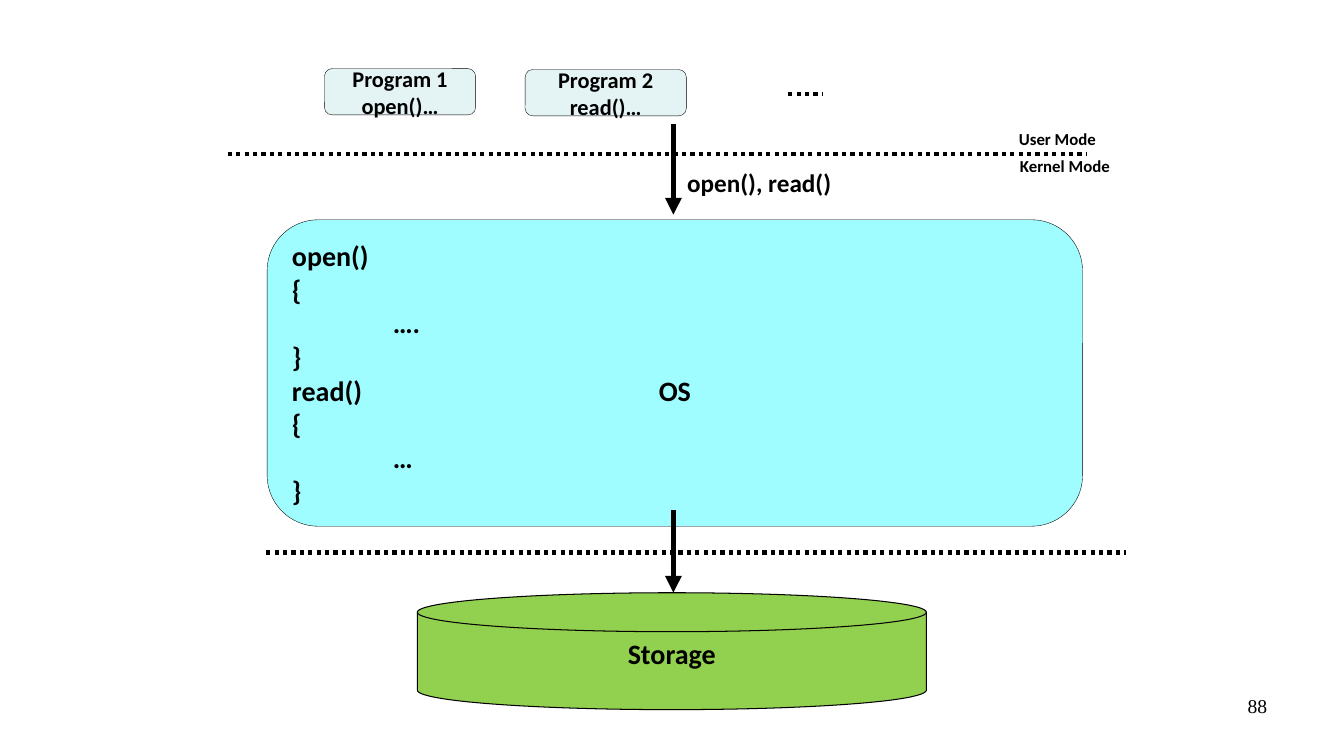
from lxml import etree
from pptx import Presentation
from pptx.dml.color import RGBColor
from pptx.enum.dml import MSO_LINE
from pptx.enum.shapes import MSO_CONNECTOR, MSO_SHAPE
from pptx.enum.text import MSO_ANCHOR, MSO_AUTO_SIZE, PP_ALIGN
from pptx.oxml.ns import qn
from pptx.util import Pt

ROUNDED = MSO_SHAPE.ROUNDED_RECTANGLE
DISK = MSO_SHAPE.FLOWCHART_MAGNETIC_DISK
STRAIGHT = MSO_CONNECTOR.STRAIGHT
DOTTED = MSO_LINE.ROUND_DOT
LEFT, CENTER, RIGHT = PP_ALIGN.LEFT, PP_ALIGN.CENTER, PP_ALIGN.RIGHT
TOP, MIDDLE = MSO_ANCHOR.TOP, MSO_ANCHOR.MIDDLE
FIT_SHAPE = MSO_AUTO_SIZE.SHAPE_TO_FIT_TEXT

BLACK = RGBColor(0x00, 0x00, 0x00)
PALE_BLUE = RGBColor(0xE4, 0xF3, 0xF4)
CYAN = RGBColor(0x9F, 0xFD, 0xFF)
GREEN = RGBColor(0x92, 0xD0, 0x50)

PROGRAMS = [
    (["Program 1", "open()…"], (231.8, 49, 108, 33.1)),
    (["Program 2", "read()…"], (375.1, 49.7, 115.2, 33.1)),
]
KERNEL_CODE = ["open()", "{", "\t….", "}", "read()\tOS", "{", "\t…", "}"]
KERNEL_PLACE = (190.8, 157, 582.5, 218.9)
CODE_INDENT = 72
OS_TAB = 262
STORAGE_PLACE = (298.1, 423.4, 363.6, 83.5)
LABELS = [
    ("User Mode", (720, 88.6, 70.6, 21.6), 12, CENTER),
    ("Kernel Mode", (720.7, 108, 79.9, 21.6), 12, CENTER),
    ("open(), read()", (483.8, 115.9, 118.1, 28.8), 18, LEFT),
]
PAGE_NUMBER = ("88", (688.3, 491.8, 223.9, 37.4))
DOTTED_LINES = [(162.7, 776.2, 110.2), (563, 587.5, 67), (190.1, 804.2, 394.6)]
ARROW_X = 481
ARROWS = [(88.6, 153.4), (364.3, 423.4)]


def points(values):
    return [Pt(value) for value in values]


def write(box, lines, size=20, align=CENTER, anchor=TOP, font="Calibri",
          bold=True, wrap=True, tabs=None):
    frame = box.text_frame
    frame.word_wrap = wrap
    frame.vertical_anchor = anchor
    for index, line in enumerate(lines):
        para = frame.paragraphs[0] if index == 0 else frame.add_paragraph()
        para.alignment = align
        if tabs and "\t" in line:
            position = tabs[0] if line.startswith("\t") else tabs[1]
            tab_list = etree.SubElement(para._p.get_or_add_pPr(), qn("a:tabLst"))
            etree.SubElement(tab_list, qn("a:tab"), pos=str(Pt(position)), algn="l")
        span = para.add_run()
        span.text = line
        span.font.name = font
        span.font.size = Pt(size)
        span.font.bold = bold
        span.font.color.rgb = BLACK


def add_block(page, kind, place, fill, line_width):
    block = page.shapes.add_shape(kind, *points(place))
    block.shadow.inherit = False
    block.fill.solid()
    block.fill.fore_color.rgb = fill
    block.line.color.rgb = BLACK
    block.line.width = Pt(line_width)
    return block


def add_line(page, start, end, width, dash=None, arrow=False):
    line = page.shapes.add_connector(STRAIGHT, *points(start + end))
    line.line.color.rgb = BLACK
    line.line.width = Pt(width)
    if dash:
        line.line.dash_style = dash
    if arrow:
        outline = line.line._get_or_add_ln()
        etree.SubElement(outline, qn("a:tailEnd"), type="triangle")
    etree.SubElement(line._element.spPr, qn("a:effectLst"))


def main():
    deck = Presentation()
    deck.slide_width, deck.slide_height = Pt(960), Pt(540)
    page = deck.slides.add_slide(deck.slide_layouts[6])

    for left, right, height in DOTTED_LINES:
        add_line(page, (left, height), (right, height), 3, dash=DOTTED)

    for lines, place in PROGRAMS:
        program = add_block(page, ROUNDED, place, PALE_BLUE, 0.25)
        write(program, lines, size=16, anchor=MIDDLE)

    storage = add_block(page, DISK, STORAGE_PLACE, GREEN, 0.75)
    write(storage, ["Storage"])

    kernel = add_block(page, ROUNDED, KERNEL_PLACE, CYAN, 0.25)
    write(kernel, KERNEL_CODE, align=LEFT, anchor=MIDDLE, tabs=(CODE_INDENT, OS_TAB))

    for text, place, size, align in LABELS:
        label = page.shapes.add_textbox(*points(place))
        write(label, [text], size=size, align=align, wrap=False)
        label.text_frame.auto_size = FIT_SHAPE

    for top, bottom in ARROWS:
        add_line(page, (ARROW_X, top), (ARROW_X, bottom), 4, arrow=True)

    text, place = PAGE_NUMBER
    number = page.shapes.add_textbox(*points(place))
    write(number, [text], size=14, align=RIGHT, font="Times New Roman", bold=False)

    deck.save("out.pptx")


if __name__ == "__main__":
    main()
